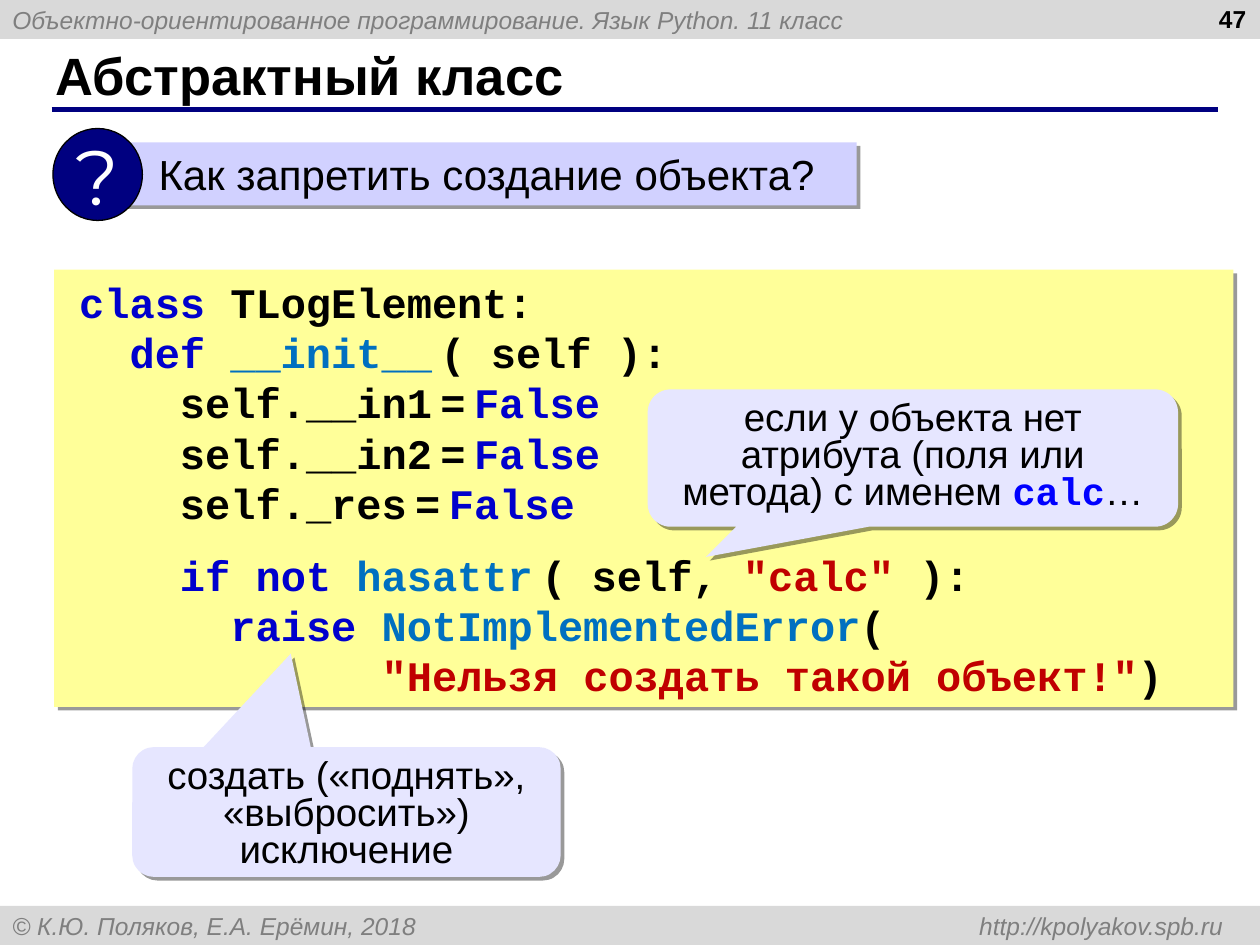
from dataclasses import dataclass

from lxml.etree import SubElement
from pptx import Presentation
from pptx.dml.color import RGBColor
from pptx.enum.shapes import MSO_CONNECTOR, MSO_SHAPE
from pptx.enum.text import MSO_ANCHOR, PP_ALIGN
from pptx.oxml.ns import qn
from pptx.util import Inches, Pt

COLS, ROWS = 100, 75


@dataclass(frozen=True)
class Theme:
    sans: str = "Arial"
    mono: str = "Courier New"
    mark: str = "Montserrat"
    ink: str = "000000"
    white: str = "FFFFFF"
    navy: str = "000080"
    bar: str = "D9D9D9"
    gray: str = "7F7F7F"
    code: str = "FFFF99"
    note: str = "E6E6FF"
    ask: str = "D1D1FF"
    key: str = "0000CC"
    name: str = "0070C0"
    lit: str = "C00000"
    term: str = "0000FF"
    small: int = 14
    call: int = 22
    body: int = 24
    head: int = 30
    huge: int = 44
    thin: int = 8


class Page:
    def __init__(self, deck, theme):
        self.theme = theme
        self.wide = deck.slide_width / COLS
        self.high = deck.slide_height / ROWS
        self.slide = deck.slides.add_slide(deck.slide_layouts[5])
        self.shapes = self.slide.shapes

    def place(self, at):
        x, y, w, h = at
        return (round(x * self.wide), round(y * self.high),
                round(w * self.wide), round(h * self.high))

    def add(self, para, text, size, color, font=None, bold=False,
            italic=False):
        run = para.add_run()
        run.text = text
        run.font.name = font or self.theme.sans
        run.font.size = Pt(size)
        run.font.bold, run.font.italic = bold, italic
        run.font.color.rgb = RGBColor.from_string(color)

    def frame(self, shape, anchor, wrap=True):
        frame = shape.text_frame
        frame.word_wrap = wrap
        frame.vertical_anchor = anchor
        frame.margin_left = frame.margin_right = Inches(0.1)
        frame.margin_top = frame.margin_bottom = Inches(0.05)
        frame.paragraphs[0].alignment = PP_ALIGN.LEFT
        return frame

    def title(self, text, at):
        shape = self.shapes.title
        shape.left, shape.top, shape.width, shape.height = self.place(at)
        para = self.frame(shape, MSO_ANCHOR.MIDDLE).paragraphs[0]
        self.add(para, text, self.theme.head, self.theme.ink, bold=True)

    def label(self, text, at):
        shape = self.shapes.add_textbox(*self.place(at))
        para = self.frame(shape, MSO_ANCHOR.TOP).paragraphs[0]
        para.alignment = PP_ALIGN.RIGHT
        self.add(para, text, self.theme.small, self.theme.ink, bold=True)

    def rule(self, x, y, end):
        left, top, width, _ = self.place((x, y, end - x, 0))
        line = self.shapes.add_connector(
            MSO_CONNECTOR.STRAIGHT, left, top, left + width, top)
        line.line.color.rgb = RGBColor.from_string(self.theme.navy)
        line.line.width = Pt(3)
        SubElement(line._element.spPr, qn("a:effectLst"))

    def box(self, kind, at, fill, host=None, shade=True):
        shape = (host or self.slide).shapes.add_shape(kind, *self.place(at))
        shape.fill.solid()
        shape.fill.fore_color.rgb = RGBColor.from_string(fill)
        shape.line.fill.background()
        shape.shadow.inherit = False
        if shade:
            effects = shape._element.spPr.find(qn("a:effectLst"))
            cast = SubElement(effects, qn("a:outerShdw"), dist=str(Pt(3)),
                              dir="2700000", algn="ctr", rotWithShape="0")
            color = SubElement(cast, qn("a:srgbClr"), val=self.theme.ink)
            SubElement(color, qn("a:alpha"), val="40000")
        return shape

    def band(self, text, y, tab=None):
        shape = self.box(MSO_SHAPE.RECTANGLE, (0, y, COLS, 3.1),
                         self.theme.bar, shade=False)
        para = self.frame(shape, MSO_ANCHOR.MIDDLE).paragraphs[0]
        if tab:
            tabs = SubElement(para._p.get_or_add_pPr(), qn("a:tabLst"))
            SubElement(tabs, qn("a:tab"), pos=str(round(tab * self.wide)),
                       algn="r")
        self.add(para, text, self.theme.small, self.theme.gray, italic=True)

    def code(self, lines, at):
        """Each line is a list of (text, colour); no colour means a thin gap."""
        t = self.theme
        shape = self.box(MSO_SHAPE.RECTANGLE, at, t.code)
        frame = self.frame(shape, MSO_ANCHOR.MIDDLE)
        for i, line in enumerate(lines):
            para = frame.add_paragraph() if i else frame.paragraphs[0]
            para.alignment = PP_ALIGN.LEFT
            props = para._p.get_or_add_pPr()
            props.set("marL", str(Inches(0.2)))
            props.set("indent", str(Inches(-0.1)))
            if line[0][0].startswith("    if"):
                para.space_before = Pt(12)
            for text, color in line:
                self.add(para, text, t.body if color else t.thin,
                         color or t.ink, t.mono, bold=True)

    def note(self, parts, at, tip):
        """Callout; parts are (text, is code), tip is its pointer."""
        t = self.theme
        shape = self.box(MSO_SHAPE.ROUNDED_RECTANGULAR_CALLOUT, at, t.note)
        for i, value in enumerate((*tip, 0.167)):
            shape.adjustments[i] = value
        para = self.frame(shape, MSO_ANCHOR.TOP).paragraphs[0]
        para.alignment = PP_ALIGN.CENTER
        para.line_spacing = 0.8
        for text, code in parts:
            self.add(para, text, t.call, t.term if code else t.ink,
                     t.mono if code else t.sans, bold=code)

    def ask(self, text, bar, disc):
        t = self.theme
        group = self.shapes.add_group_shape()
        shape = self.box(MSO_SHAPE.RECTANGLE, bar, t.ask, group)
        para = self.frame(shape, MSO_ANCHOR.TOP).paragraphs[0]
        para._p.get_or_add_pPr().set("marL", str(Inches(0.19)))
        self.add(para, text, t.body, t.ink)
        shape = self.box(MSO_SHAPE.OVAL, disc, t.navy, group, shade=False)
        shape.line.color.rgb = RGBColor.from_string(t.ink)
        shape.line.width = Pt(0.75)
        para = self.frame(shape, MSO_ANCHOR.MIDDLE, wrap=False).paragraphs[0]
        para.alignment = PP_ALIGN.CENTER
        self.add(para, "?", t.huge, t.white, t.mark)


def listing(t):
    gap = (" ", None)
    fields = [[(f"    self.{field}", t.ink), gap, ("=", t.ink), gap,
               ("False", t.key)] for field in ("__in1", "__in2", "_res")]
    return [
        [("class", t.key), (" TLogElement:", t.ink)],
        [("  def ", t.key), ("__init__", t.name), gap, ("( self ):", t.ink)],
        *fields,
        [("    if not ", t.key), ("hasattr", t.name), gap,
         ("( self, ", t.ink), ('"calc" ', t.lit), ("):", t.ink)],
        [("      raise ", t.key), ("NotImplementedError", t.name),
         ("(", t.ink)],
        [('            "Нельзя создать такой объект!"', t.lit), (")", t.ink)],
    ]


def main():
    deck = Presentation()
    deck.slide_width, deck.slide_height = Inches(10), Inches(7.5)
    theme = Theme()
    page = Page(deck, theme)
    page.band("Объектно-ориентированное программирование. "
              "Язык Python. 11 класс", 0)
    page.band("© К.Ю. Поляков, Е.А. Ерёмин, 2018\thttp://kpolyakov.spb.ru",
              71.9, tab=96.1)
    page.rule(4.1, 8.7, 96.7)
    page.title("Абстрактный класс", (3.4, 3.3, 91.6, 5.2))
    page.label("47", (76.6, -0.2, 23.3, 5.2))
    page.code(listing(theme), (4.3, 21.4, 93.6, 34.7))
    page.note([("если у объекта нет атрибута (поля или метода) с именем ",
                False), ("calc", True), ("…", False)],
              (51.4, 30.9, 42.1, 10.9), (-0.39, 0.72))
    page.note([("создать («поднять», «выбросить») исключение", False)],
              (10.5, 59.3, 34, 10.3), (-0.13, -1.22))
    page.ask("Как запретить создание объекта?",
             (9.7, 11.3, 58.3, 5), (4.2, 10.2, 7.1, 7.3))
    deck.save("out.pptx")


if __name__ == "__main__":
    main()
